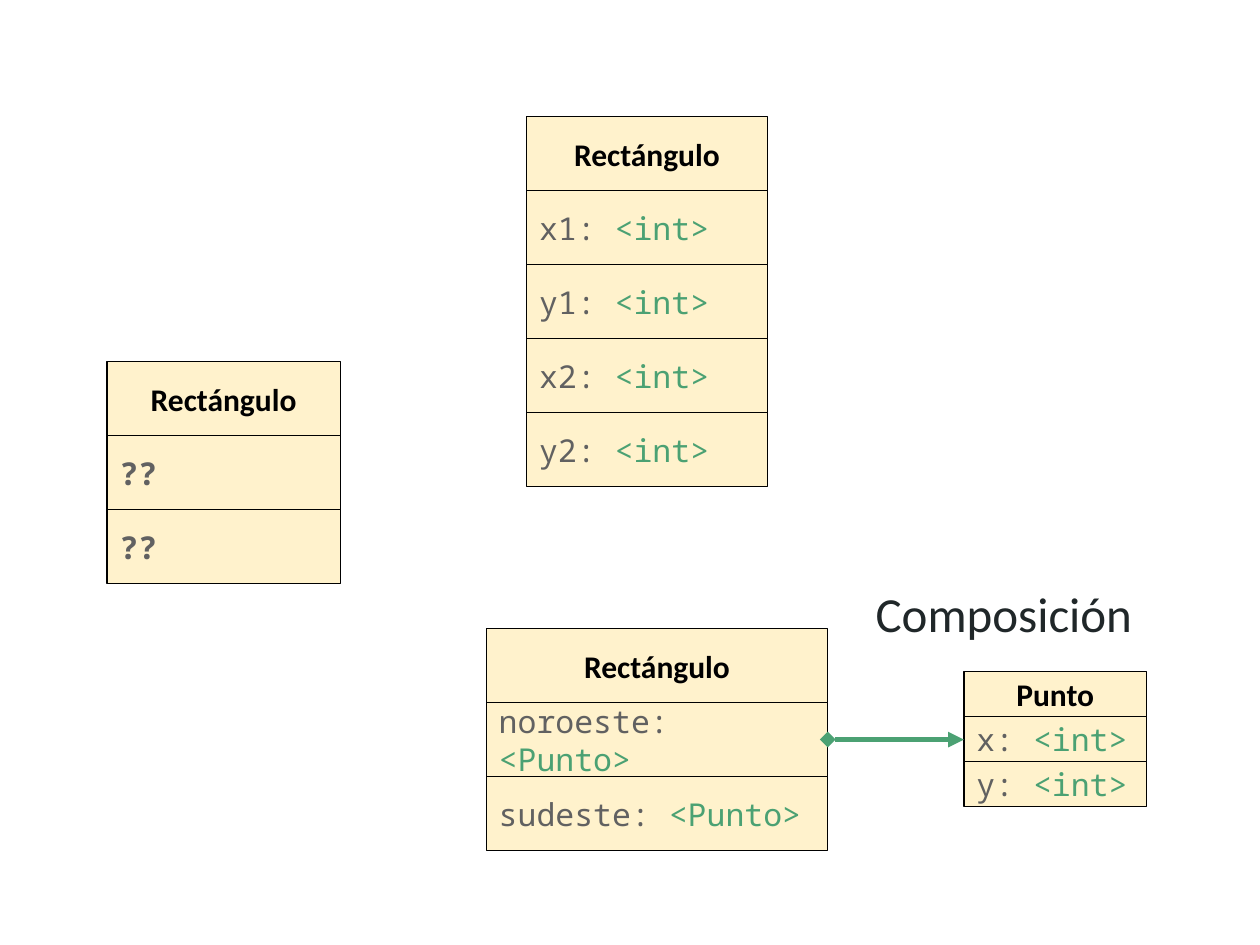
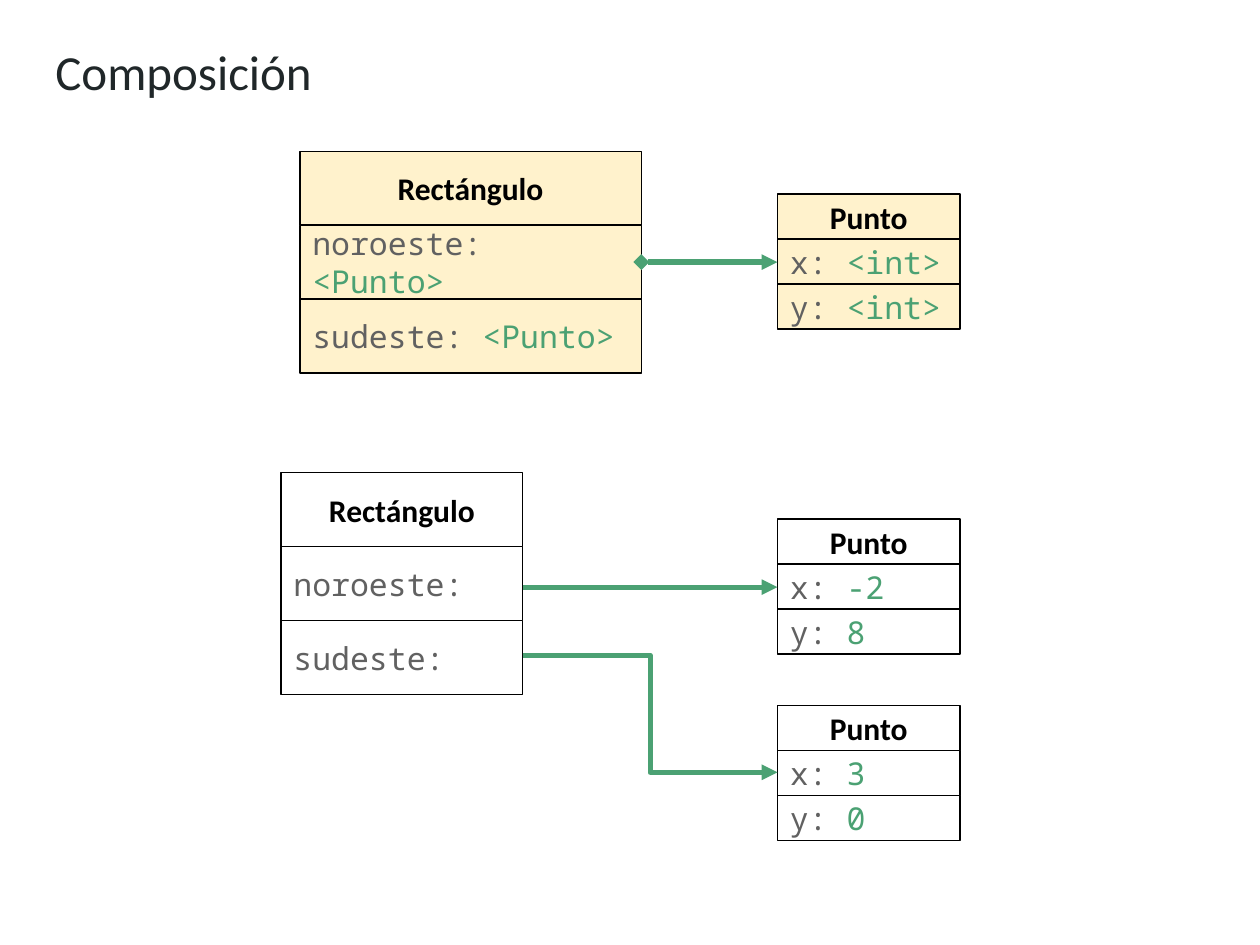
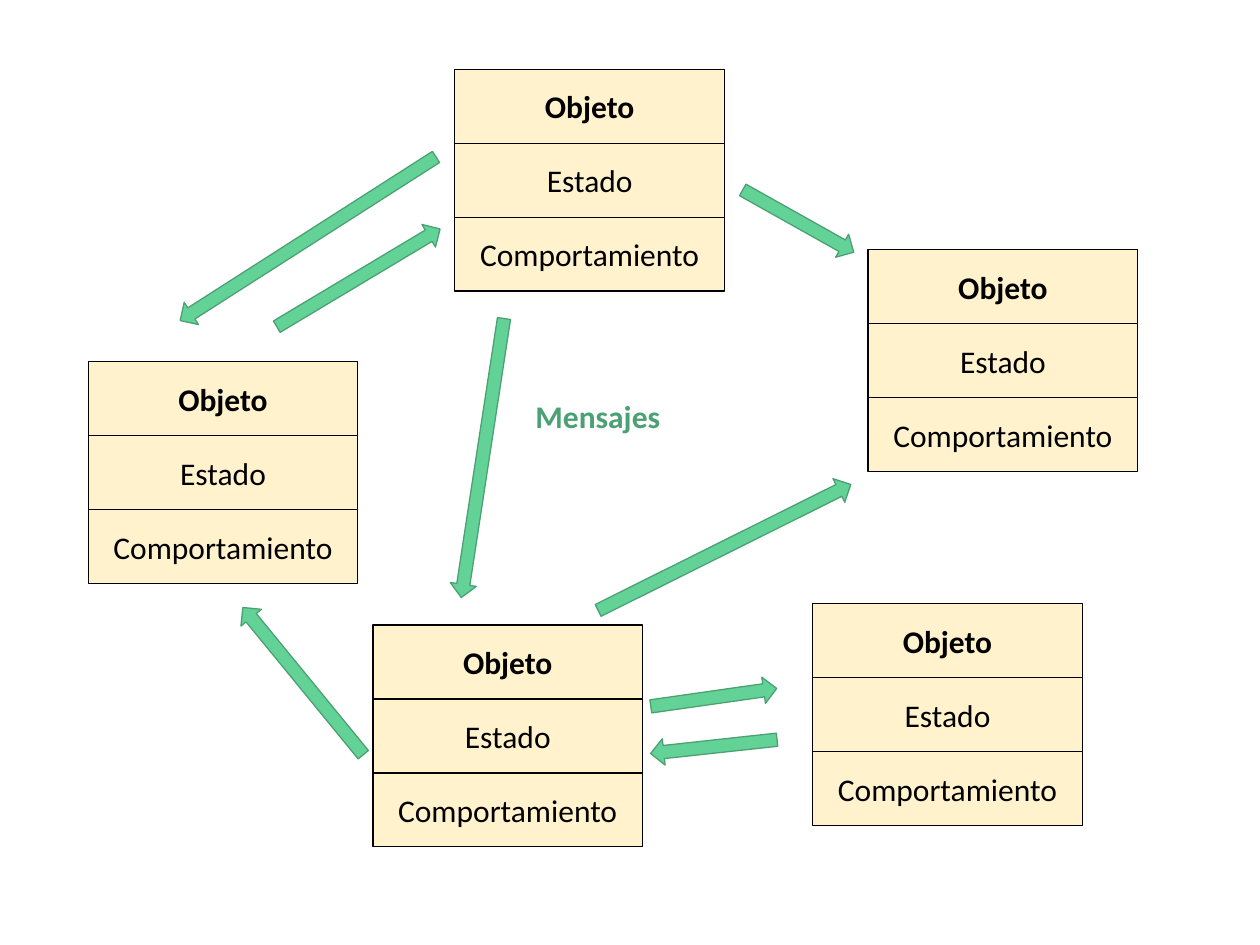
"""Build three slides on composition and on objects that exchange messages."""
from lxml import etree
from pptx import Presentation
from pptx.dml.color import RGBColor
from pptx.enum.shapes import MSO_CONNECTOR, MSO_SHAPE
from pptx.enum.text import MSO_ANCHOR, MSO_AUTO_SIZE, PP_ALIGN
from pptx.oxml.ns import qn
from pptx.util import Inches, Pt

RECTANGLE, ARROW = MSO_SHAPE.RECTANGLE, MSO_SHAPE.RIGHT_ARROW
STRAIGHT, ELBOW = MSO_CONNECTOR.STRAIGHT, MSO_CONNECTOR.ELBOW
TOP, MIDDLE = MSO_ANCHOR.TOP, MSO_ANCHOR.MIDDLE
LEFT, CENTER = PP_ALIGN.LEFT, PP_ALIGN.CENTER
FIXED, GROW = MSO_AUTO_SIZE.NONE, MSO_AUTO_SIZE.SHAPE_TO_FIT_TEXT

SANS, MONO = "Calibri", "Noto Sans Mono"
CREAM, WHITE, BLACK = "FFF2CC", "FFFFFF", "000000"
GREEN, MINT, GRAY, INK = "4BA173", "63D297", "616161", "202729"
rgb = RGBColor.from_string

deck = Presentation()
deck.slide_width, deck.slide_height = Inches(10), Inches(7.5)
CELL = deck.slide_width / 100
TALL, SHORT = 5.87, 3.57
WIDE, POINT, OBJECT = 27.1, 14.5, 21.4
ARROW_HEIGHT = 2.1


def grid(*cells):
    """Turn cells of a grid 100 columns wide into lengths."""
    return [round(cell * CELL) for cell in cells]


def draw(shapes, kind, cells, fill, outline):
    """Add a filled and outlined preset shape."""
    shape = shapes.add_shape(kind, *grid(*cells))
    shape.shadow.inherit = False
    shape.fill.solid()
    shape.fill.fore_color.rgb = rgb(fill)
    shape.line.color.rgb = rgb(outline)
    shape.line.width = Pt(0.75)
    return shape


title_only, blank = deck.slide_layouts[5], deck.slide_layouts[6]
choice, composition, messages = [
    deck.slides.add_slide(layout) for layout in (title_only, title_only, blank)]

for page, cells in ((choice, (68.5, 45.3, 28.6, 6.9)),
                    (composition, (3.4, 2.3, 93.2, 8.3))):
    title = page.shapes.title
    title.left, title.top, title.width, title.height = grid(*cells)
    frame = title.text_frame
    frame.text = "Composición"
    frame.auto_size, frame.vertical_anchor = FIXED, TOP
    frame.margin_left = frame.margin_right = Inches(0.1)
    frame.margin_top = frame.margin_bottom = Inches(0.1)
    para = frame.paragraphs[0]
    para.alignment = LEFT
    para.font.name, para.font.size = SANS, Pt(28)
    para.font.color.rgb = rgb(INK)

by_points = ("Rectángulo", "noroeste: <Punto>", "sudeste: <Punto>")
point_class = ("Punto", "x: <int>", "y: <int>")
object_parts = ("Objeto", "Estado", "Comportamiento")
by_numbers = ("Rectángulo", "x1: <int>", "y1: <int>", "x2: <int>", "y2: <int>")
cards = [
    (choice, 8.5, 28.7, 18.5, TALL, CREAM, ("Rectángulo", "??", "??")),
    (choice, 41.8, 9.27, 19.1, TALL, CREAM, by_numbers),
    (choice, 38.6, 49.9, WIDE, TALL, CREAM, by_points),
    (choice, 76.5, 53.3, POINT, SHORT, CREAM, point_class),
    (composition, 23.8, 12, WIDE, TALL, CREAM, by_points),
    (composition, 61.7, 15.4, POINT, SHORT, CREAM, point_class),
    (composition, 22.3, 37.5, 19.2, TALL, WHITE,
     ("Rectángulo", "noroeste:", "sudeste:")),
    (composition, 61.7, 41.2, POINT, SHORT, WHITE, ("Punto", "x: -2", "y: 8")),
    (composition, 61.7, 56, POINT, SHORT, WHITE, ("Punto", "x: 3", "y: 0")),
] + [(messages, left, top, OBJECT, TALL, CREAM, object_parts)
     for left, top in ((7, 28.7), (36.1, 5.5), (29.6, 49.6),
                       (64.5, 47.9), (68.9, 19.8))]

for page, left, top, width, height, fill, texts in cards:
    card = page.shapes.add_group_shape()
    for row, text in enumerate(texts):
        box = draw(card.shapes, RECTANGLE,
                   (left, top + row * height, width, height), fill, BLACK)
        frame = box.text_frame
        frame.word_wrap, frame.vertical_anchor = True, MIDDLE
        frame.margin_left = frame.margin_right = Inches(0.1)
        frame.margin_top = frame.margin_bottom = Inches(0.1)
        is_field = row > 0 and texts != object_parts
        para = frame.paragraphs[0]
        para.alignment = LEFT if is_field else CENTER
        para.font.name, para.font.size = MONO if is_field else SANS, Pt(18)
        para.font.bold = row == 0 or text == "??"
        label, colon, value = text.partition(": ")
        spans = [(label + colon, GRAY if is_field else BLACK), (value, GREEN)]
        for words, color in spans:
            if words:
                span = para.add_run()
                span.text = words
                span.font.color.rgb = rgb(color)

links = [
    (choice, STRAIGHT, (65.7, 58.7, 76.5, 58.7), "diamond"),
    (composition, STRAIGHT, (50.9, 20.8, 61.7, 20.8), "diamond"),
    (composition, STRAIGHT, (41.5, 46.6, 61.7, 46.6), "none"),
    (composition, ELBOW, (41.5, 52, 61.7, 61.3), "none"),
]
for page, kind, ends, head in links:
    link = page.shapes.add_connector(kind, *grid(*ends))
    link.line.color.rgb = rgb(GREEN)
    link.line.width = Pt(3)
    properties = link.element.spPr
    line = properties.find(qn("a:ln"))
    etree.SubElement(line, qn("a:headEnd"), type=head)
    etree.SubElement(line, qn("a:tailEnd"), type="triangle")
    etree.SubElement(properties, qn("a:effectLst"))

caption = messages.shapes.add_textbox(*grid(38.2, 30.5, 18.5, 5))
caption.fill.solid()
caption.fill.fore_color.rgb = rgb(WHITE)
frame = caption.text_frame
frame.text = "Mensajes"
frame.word_wrap, frame.auto_size = True, GROW
frame.margin_top = frame.margin_bottom = Inches(0.1)
para = frame.paragraphs[0]
para.alignment = CENTER
para.font.name, para.font.size, para.font.bold = SANS, Pt(18), True
para.font.color.rgb = rgb(GREEN)

arrows = [
    (58.3, 16.5, 10.1, 29.3), (51.6, 54.3, 10.1, 351.9),
    (46.3, 42.4, 22.4, 333.5), (16.5, 53, 15.1, 230.7),
    (20.9, 21, 15.1, 329.1), (12.4, 17.9, 24.1, 147.4),
    (27.1, 35.3, 22.4, 98.7), (51.6, 58.2, 10.1, 173.8),
]
for left, top, length, angle in arrows:
    arrow = draw(messages.shapes, ARROW, (left, top, length, ARROW_HEIGHT),
                 MINT, GREEN)
    arrow.rotation = angle

deck.save("out.pptx")
